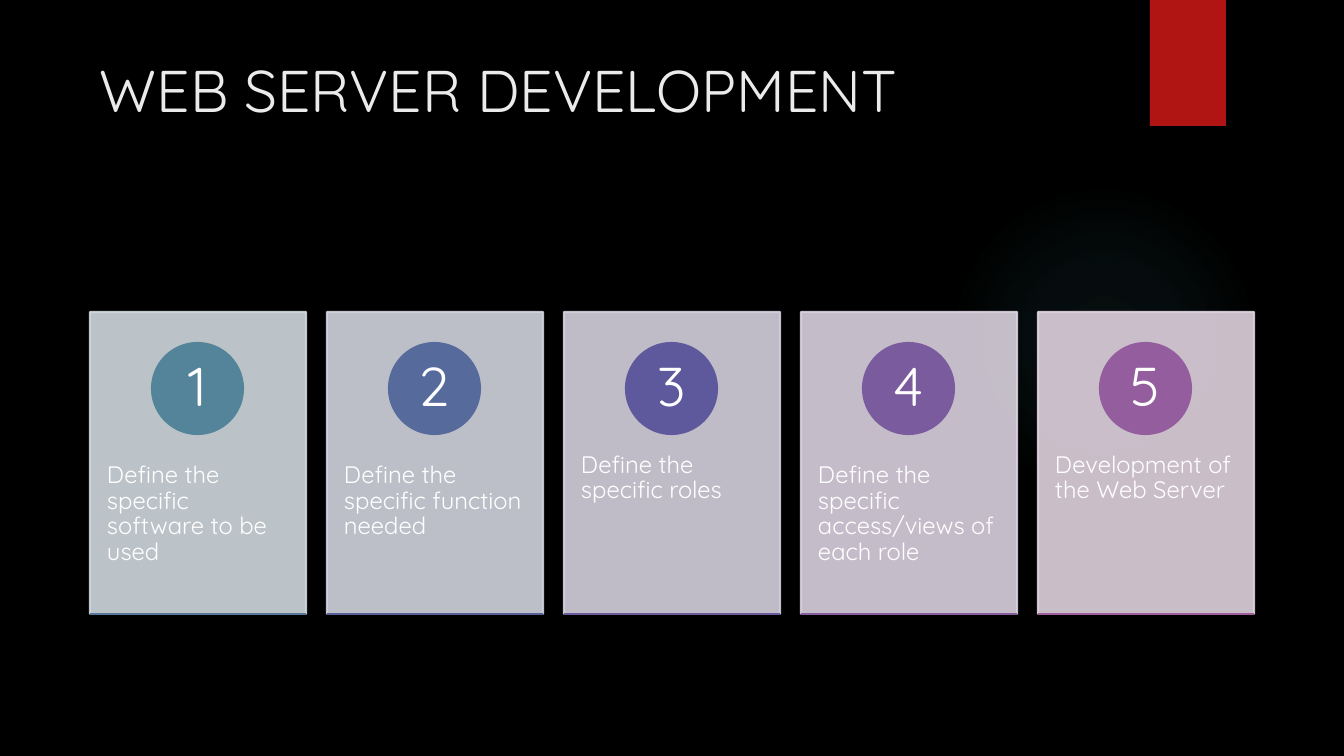
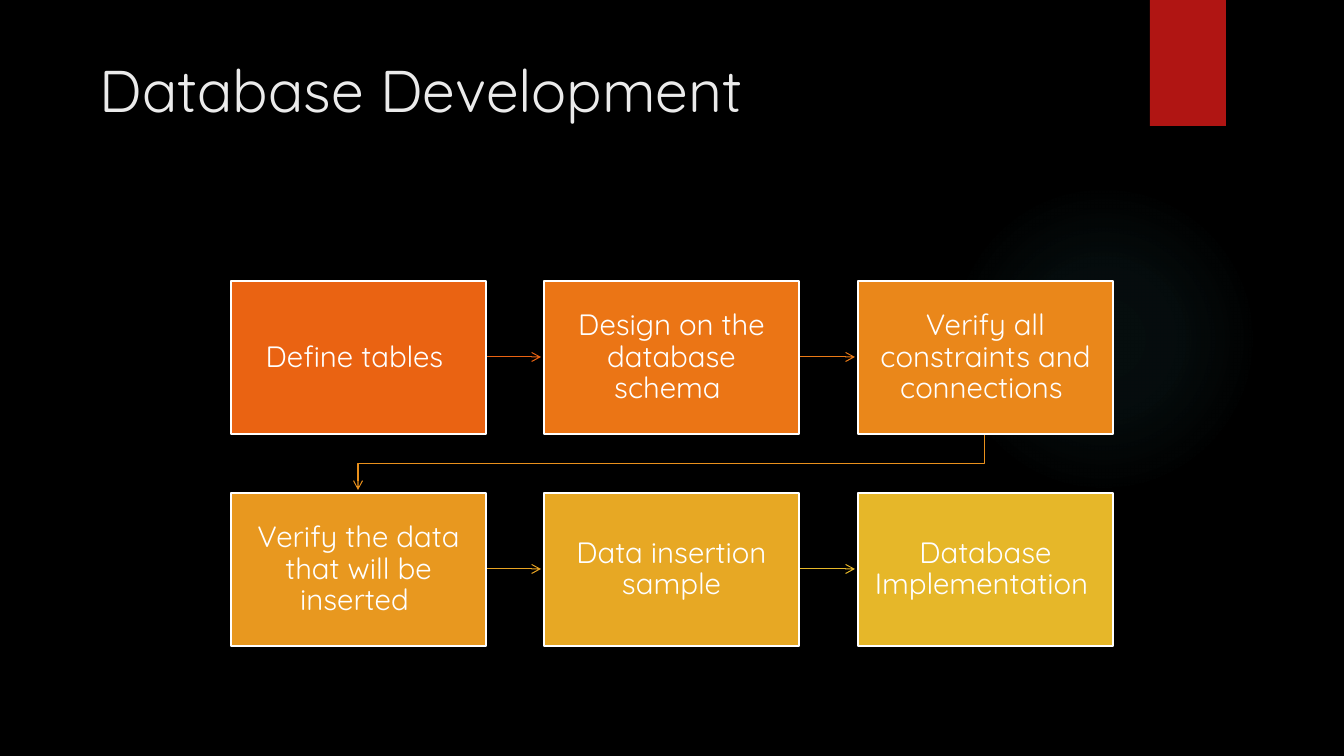
from dataclasses import dataclass
from itertools import pairwise

from lxml import etree
from pptx import Presentation
from pptx.dml.color import RGBColor
from pptx.enum.shapes import MSO_CONNECTOR, MSO_SHAPE
from pptx.enum.text import MSO_ANCHOR, PP_ALIGN
from pptx.oxml.ns import qn
from pptx.util import Emu, Pt

RECTANGLE, OVAL = MSO_SHAPE.RECTANGLE, MSO_SHAPE.OVAL
STRAIGHT = MSO_CONNECTOR.STRAIGHT
TOP, MIDDLE = MSO_ANCHOR.TOP, MSO_ANCHOR.MIDDLE
LEFT, CENTER = PP_ALIGN.LEFT, PP_ALIGN.CENTER

SLIDE_W, SLIDE_H = 1344, 756
EMU_PER_PX = 12192000 / SLIDE_W

FONT = "Quicksand"
BLACK = RGBColor(0x00, 0x00, 0x00)
WHITE = RGBColor(0xFF, 0xFF, 0xFF)
TITLE_GREY = RGBColor(0xEB, 0xEB, 0xEB)
RIBBON_RED = RGBColor(0xB0, 0x15, 0x13)
GLOW_TEAL = RGBColor(0x50, 0xB9, 0xC1)
GLOW_STOPS = ((0, 7), (36, 6), (69, 0))  # position and opacity, in percent

CARD_X, CARD_Y, CARD_W, CARD_H, CARD_PITCH = 90, 312, 216, 302, 237
CARD_OPACITY = 90
BADGE_Y, BADGE_SIZE = 343, 91
CARD_TEXT_Y, CARD_TEXT_H = 427, 180

FLOW_COLUMNS = 3
FLOW_X, FLOW_Y, FLOW_W, FLOW_H = 231, 281, 255, 153
FLOW_SPAN, FLOW_ROW_PITCH = 627, 212
ARROW_GAP, ELBOW_DROP = 3, 30


@dataclass(frozen=True)
class Card:
    text: str
    tint: RGBColor
    badge: RGBColor
    base: RGBColor


@dataclass(frozen=True)
class Step:
    text: str
    fill: RGBColor
    arrow: RGBColor | None = None


@dataclass(frozen=True)
class Box:
    x: int
    y: int
    w: int
    h: int

    @property
    def center_x(self) -> int:
        return self.x + self.w // 2

    @property
    def center_y(self) -> int:
        return self.y + self.h // 2

    @property
    def right(self) -> int:
        return self.x + self.w

    @property
    def bottom(self) -> int:
        return self.y + self.h

    def emu(self) -> tuple[Emu, Emu, Emu, Emu]:
        return px(self.x), px(self.y), px(self.w), px(self.h)


def rgb(code: str) -> RGBColor:
    return RGBColor.from_string(code)


CARDS = (
    Card("Define the specific software to be used",
         rgb("D1D9DE"), rgb("54849A"), rgb("55779A")),
    Card("Define the specific function needed",
         rgb("D1D4DE"), rgb("566B9B"), rgb("575F9B")),
    Card("Define the specific roles",
         rgb("D4D1DE"), rgb("5E589C"), rgb("6C599C")),
    Card("Define the specific access/views of each role",
         rgb("DAD2DF"), rgb("7A5B9D"), rgb("875C9D")),
    Card("Development of the Web Server",
         rgb("DFD2DE"), rgb("945D9E"), rgb("9E5E9B")),
)
STEPS = (
    Step("Define tables ", rgb("EA6312"), rgb("EA6312")),
    Step("Design on the database schema ", rgb("EB7515"), rgb("EB7A16")),
    Step("Verify all constraints and connections ", rgb("EA871A"), rgb("E9901C")),
    Step("Verify the data that will be inserted ", rgb("E8981F"), rgb("E8A423")),
    Step("Data insertion sample", rgb("E7A824"), rgb("E6B729")),
    Step("Database Implementation ", rgb("E6B729")),
)


def px(length: int) -> Emu:
    return Emu(round(length * EMU_PER_PX))


def set_opacity(element, percent: int) -> None:
    """Make every solid colour below the element partly transparent."""
    for color in element.iter(qn("a:srgbClr")):
        etree.SubElement(color, qn("a:alpha"), val=str(percent * 1000))


def add_box(slide, preset, box: Box, fill: RGBColor, line: RGBColor | None = None):
    shape = slide.shapes.add_shape(preset, *box.emu())
    shape.shadow.inherit = False
    shape.fill.solid()
    shape.fill.fore_color.rgb = fill
    if line is None:
        shape.line.fill.background()
    else:
        shape.line.color.rgb = line
        shape.line.width = Pt(1.5)
    return shape


def write(shape, text: str, size: int, color: RGBColor = WHITE, align=CENTER,
          anchor=MIDDLE, insets: tuple[int, int] = (0, 0), spacing: float = 0.9) -> None:
    """Fill the shape with one paragraph; insets are horizontal and vertical."""
    frame = shape.text_frame
    frame.word_wrap = True
    frame.vertical_anchor = anchor
    frame.margin_left = frame.margin_right = px(insets[0])
    frame.margin_top = frame.margin_bottom = px(insets[1])
    paragraph = frame.paragraphs[0]
    paragraph.text = text
    paragraph.alignment = align
    paragraph.line_spacing = spacing
    paragraph.font.name = FONT
    paragraph.font.size = Pt(size)
    paragraph.font.color.rgb = color


def add_line(slide, start: tuple[int, int], end: tuple[int, int],
             color: RGBColor, width: float):
    line = slide.shapes.add_connector(STRAIGHT, *map(px, start + end))
    line.line.color.rgb = color
    line.line.width = Pt(width)
    etree.SubElement(line._element.spPr, qn("a:effectLst"))
    return line


def add_arrowhead(shape) -> None:
    etree.SubElement(shape.line._get_or_add_ln(), qn("a:tailEnd"), type="arrow")


def add_glow(slide) -> None:
    glow = add_box(slide, OVAL, Box(949, 184, 310, 310), GLOW_TEAL)
    properties = glow._element.spPr
    gradient = etree.Element(qn("a:gradFill"), rotWithShape="1")
    stops = etree.SubElement(gradient, qn("a:gsLst"))
    for position, opacity in GLOW_STOPS:
        stop = etree.SubElement(stops, qn("a:gs"), pos=str(position * 1000))
        etree.SubElement(stop, qn("a:srgbClr"), val=str(GLOW_TEAL))
        set_opacity(stop, opacity)
    circle = etree.SubElement(gradient, qn("a:path"), path="circle")
    etree.SubElement(circle, qn("a:fillToRect"),
                     dict.fromkeys("ltrb", "50000"))
    properties.replace(properties.find(qn("a:solidFill")), gradient)


def add_titled_slide(prs, title: str):
    slide = prs.slides.add_slide(prs.slide_layouts[6])
    add_glow(slide)
    add_box(slide, RECTANGLE, Box(1150, 0, 76, 126), RIBBON_RED)
    heading = slide.shapes.add_textbox(*Box(90, 49, 1165, 107).emu())
    write(heading, title, 42, TITLE_GREY, LEFT, TOP, (10, 5), 1.0)
    return slide


def add_card(slide, index: int, card: Card) -> None:
    panel = Box(CARD_X + index * CARD_PITCH, CARD_Y, CARD_W, CARD_H)
    background = add_box(slide, RECTANGLE, panel, card.tint, card.tint)
    set_opacity(background._element.spPr, CARD_OPACITY)
    caption = slide.shapes.add_textbox(
        *Box(panel.x, CARD_TEXT_Y, CARD_W, CARD_TEXT_H).emu())
    write(caption, card.text, 17, align=LEFT, anchor=TOP, insets=(17, 36))
    badge_x = panel.x + (CARD_W - BADGE_SIZE) // 2
    badge = add_box(slide, OVAL, Box(badge_x, BADGE_Y, BADGE_SIZE, BADGE_SIZE),
                    card.badge, card.badge)
    write(badge, str(index + 1), 39)
    add_line(slide, (panel.x, panel.bottom), (panel.right, panel.bottom),
             card.base, 1.5)


def step_box(index: int) -> Box:
    row, column = divmod(index, FLOW_COLUMNS)
    return Box(FLOW_X + column * FLOW_SPAN // (FLOW_COLUMNS - 1),
               FLOW_Y + row * FLOW_ROW_PITCH, FLOW_W, FLOW_H)


def add_flow_arrow(slide, source: Box, target: Box, color: RGBColor) -> None:
    """Join neighbours by a straight arrow, and rows by an elbow."""
    if source.y == target.y:
        arrow = add_line(slide, (source.right, source.center_y),
                         (target.x - ARROW_GAP, target.center_y), color, 0.75)
    else:
        bend_y = source.bottom + ELBOW_DROP
        builder = slide.shapes.build_freeform(px(source.center_x), px(source.bottom))
        bends = ((source.center_x, bend_y), (target.center_x, bend_y),
                 (target.center_x, target.y - ARROW_GAP))
        builder.add_line_segments([(px(x), px(y)) for x, y in bends], close=False)
        arrow = builder.convert_to_shape()
        arrow.shadow.inherit = False
        arrow.fill.background()
        arrow.line.color.rgb = color
        arrow.line.width = Pt(0.75)
    add_arrowhead(arrow)


def build_web_server(prs) -> None:
    slide = add_titled_slide(prs, "WEB SERVER DEVELOPMENT")
    for index, card in enumerate(CARDS):
        add_card(slide, index, card)


def build_database(prs) -> None:
    slide = add_titled_slide(prs, "Database Development")
    boxes = [step_box(index) for index in range(len(STEPS))]
    for step, (source, target) in zip(STEPS, pairwise(boxes)):
        add_flow_arrow(slide, source, target, step.arrow)
    for step, box in zip(STEPS, boxes):
        panel = add_box(slide, RECTANGLE, box, step.fill, WHITE)
        write(panel, step.text, 21, insets=(12, 13))


def main() -> None:
    prs = Presentation()
    prs.slide_width, prs.slide_height = px(SLIDE_W), px(SLIDE_H)
    backdrop = prs.slide_master.background.fill
    backdrop.solid()
    backdrop.fore_color.rgb = BLACK
    build_web_server(prs)
    build_database(prs)
    prs.save("out.pptx")


if __name__ == "__main__":
    main()
